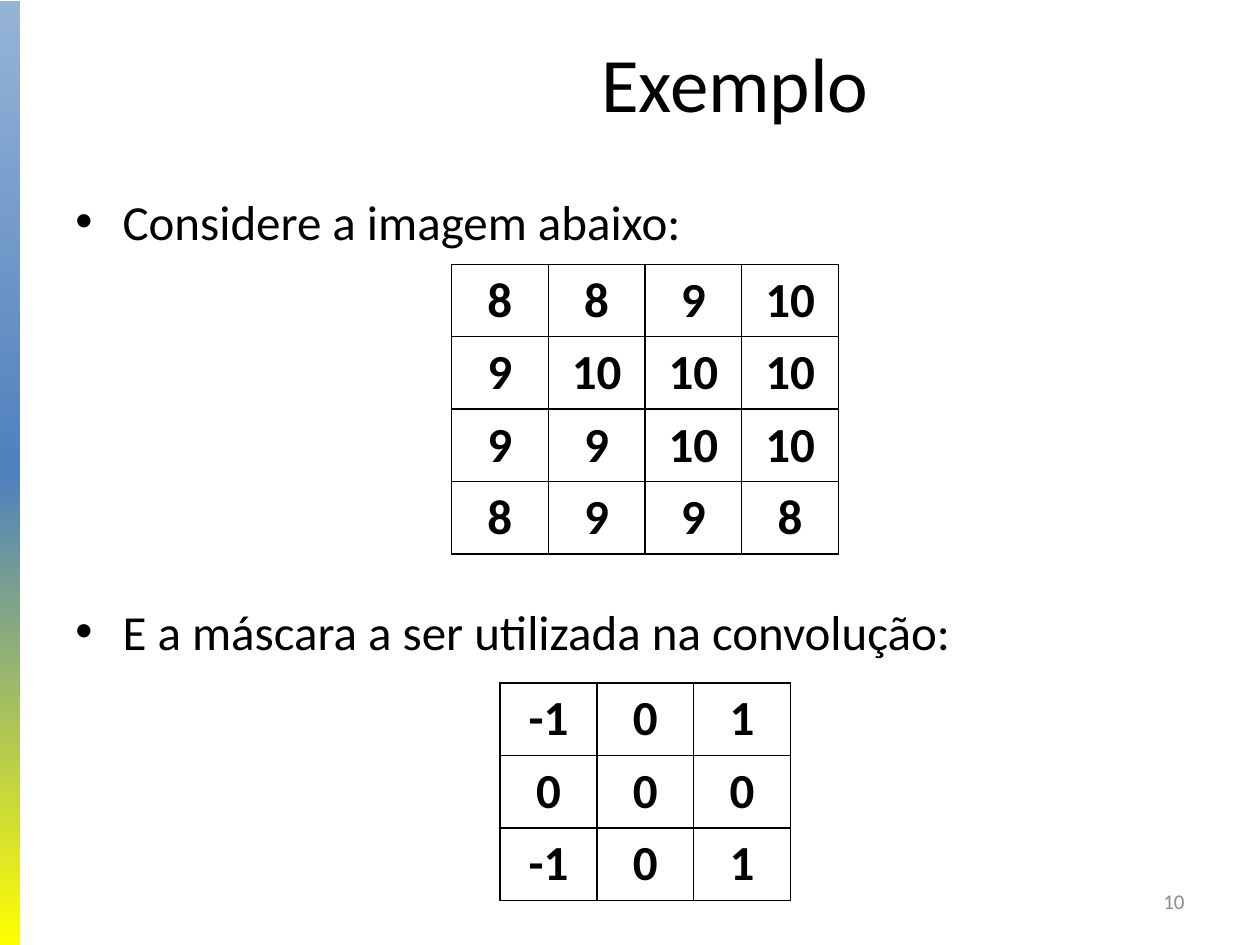
from dataclasses import dataclass

from lxml import etree
from pptx import Presentation
from pptx.dml.color import RGBColor
from pptx.enum.shapes import MSO_SHAPE
from pptx.enum.text import MSO_ANCHOR, PP_ALIGN
from pptx.oxml import parse_xml
from pptx.oxml.ns import nsdecls, qn
from pptx.util import Pt

RECTANGLE = MSO_SHAPE.RECTANGLE
TOP, MIDDLE = MSO_ANCHOR.TOP, MSO_ANCHOR.MIDDLE
LEFT, CENTER, RIGHT = PP_ALIGN.LEFT, PP_ALIGN.CENTER, PP_ALIGN.RIGHT

COLORS = {
    "ink": "000000",
    "page_number": "8C8C8C",
    "bar_top": "95B3D7",
    "bar_middle": "4F81BD",
    "bar_bottom": "FFFF00",
}
FONT = "Calibri"
BODY_SIZE = 28
COLUMN_WIDTH = 55.3
ROW_HEIGHT = 41.4
BULLET_INDENT = 27


@dataclass(frozen=True)
class Matrix:
    left: float
    top: float
    rows: tuple[tuple[int, ...], ...]


@dataclass(frozen=True)
class Label:
    text: str
    left: float
    top: float
    width: float
    height: float
    size: float
    align: PP_ALIGN
    color: str = "ink"


MATRICES = (
    Matrix(258, 151, ((8, 8, 9, 10), (9, 10, 10, 10), (9, 9, 10, 10), (8, 9, 9, 8))),
    Matrix(285.8, 390.3, ((-1, 0, 1), (0, 0, 0), (-1, 0, 1))),
)
LABELS = (
    Label("Exemplo", 156.2, 9.4, 527.8, 74.2, 44, CENTER),
    Label("10", 516, 500.4, 168, 28.8, 12, RIGHT, "page_number"),
)
BULLETS = (("Considere a imagem abaixo:", 0), ("E a máscara a ser utilizada na convolução:", 200.7))


def write(para, text: str, *, size: float = BODY_SIZE, color: str = "ink",
          bold: bool = False, align: PP_ALIGN = LEFT) -> None:
    para.alignment = align
    span = para.add_run()
    span.text = text
    span.font.name = FONT
    span.font.size = Pt(size)
    span.font.bold = bold
    span.font.color.rgb = RGBColor.from_string(COLORS[color])


def add_box(page, left: float, top: float, width: float, height: float, anchor: MSO_ANCHOR):
    box = page.shapes.add_textbox(Pt(left), Pt(top), Pt(width), Pt(height))
    box.text_frame.word_wrap = True
    box.text_frame.vertical_anchor = anchor
    return box


def draw_label(page, label: Label) -> None:
    box = add_box(page, label.left, label.top, label.width, label.height, MIDDLE)
    write(box.text_frame.paragraphs[0], label.text, size=label.size,
          color=label.color, align=label.align)


def draw_bullets(page) -> None:
    frame = add_box(page, 36, 105.8, 648, 356.4, TOP).text_frame
    for index, (text, gap) in enumerate(BULLETS):
        para = frame.add_paragraph() if index else frame.paragraphs[0]
        write(para, text)
        para.space_before = Pt(gap)
        properties = para._p.get_or_add_pPr()
        properties.set("marL", str(Pt(BULLET_INDENT)))
        properties.set("indent", str(-Pt(BULLET_INDENT)))
        etree.SubElement(properties, qn("a:buFont")).set("typeface", "Arial")
        etree.SubElement(properties, qn("a:buChar")).set("char", "•")


def draw_bar(page) -> None:
    bar = page.shapes.add_shape(RECTANGLE, Pt(-2.9), Pt(0.7), Pt(14.4), Pt(540))
    bar.shadow.inherit = False
    bar.line.fill.background()
    bar.fill.gradient()
    bar.fill.gradient_angle = 270
    stops = bar._element.spPr.find(".//" + qn("a:gsLst"))
    stops.clear()
    for position, name in ((0, "bar_top"), (50, "bar_middle"), (100, "bar_bottom")):
        stops.append(parse_xml(
            f'<a:gs {nsdecls("a")} pos="{position * 1000}">'
            f'<a:srgbClr val="{COLORS[name]}"/></a:gs>'))


def add_borders(cell) -> None:
    properties = cell._tc.get_or_add_tcPr()
    for side in "LRTB":
        properties.append(parse_xml(
            f'<a:ln{side} {nsdecls("a")} w="{Pt(1)}"><a:solidFill>'
            f'<a:srgbClr val="{COLORS["ink"]}"/></a:solidFill></a:ln{side}>'))


def draw_matrix(page, matrix: Matrix) -> None:
    row_count, column_count = len(matrix.rows), len(matrix.rows[0])
    table = page.shapes.add_table(
        row_count, column_count, Pt(matrix.left), Pt(matrix.top),
        Pt(column_count * COLUMN_WIDTH), Pt(row_count * ROW_HEIGHT)).table
    table.first_row = False
    table.horz_banding = False
    for row_index, values in enumerate(matrix.rows):
        for column_index, value in enumerate(values):
            cell = table.cell(row_index, column_index)
            write(cell.text_frame.paragraphs[0], str(value), bold=True, align=CENTER)
            add_borders(cell)
            cell.fill.background()


def main() -> None:
    """Build the convolution example slide and save it."""
    deck = Presentation()
    deck.slide_width, deck.slide_height = Pt(720), Pt(540)
    page = deck.slides.add_slide(deck.slide_layouts[6])
    draw_bar(page)
    for label in LABELS:
        draw_label(page, label)
    draw_bullets(page)
    for matrix in MATRICES:
        draw_matrix(page, matrix)
    deck.save("out.pptx")


if __name__ == "__main__":
    main()
